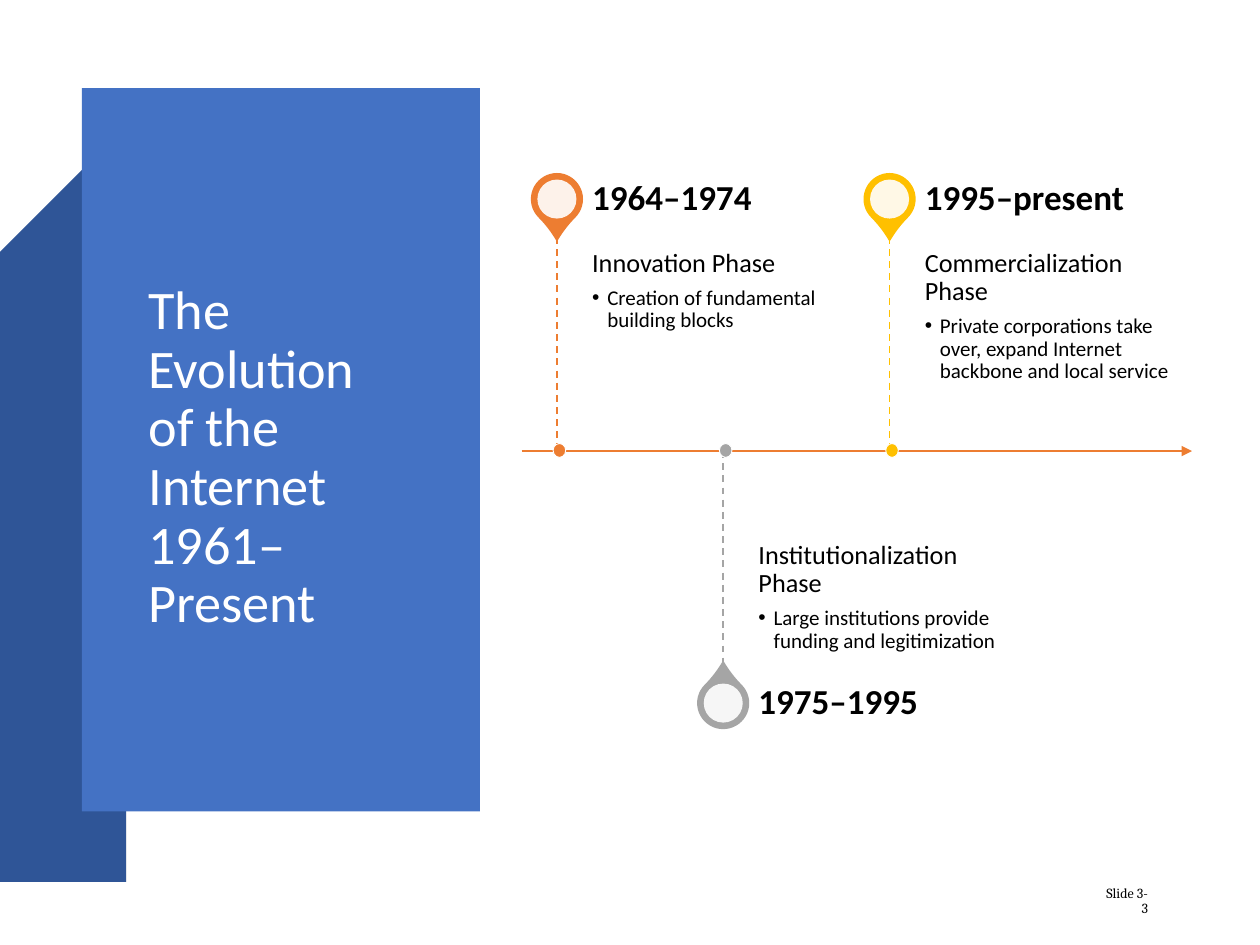
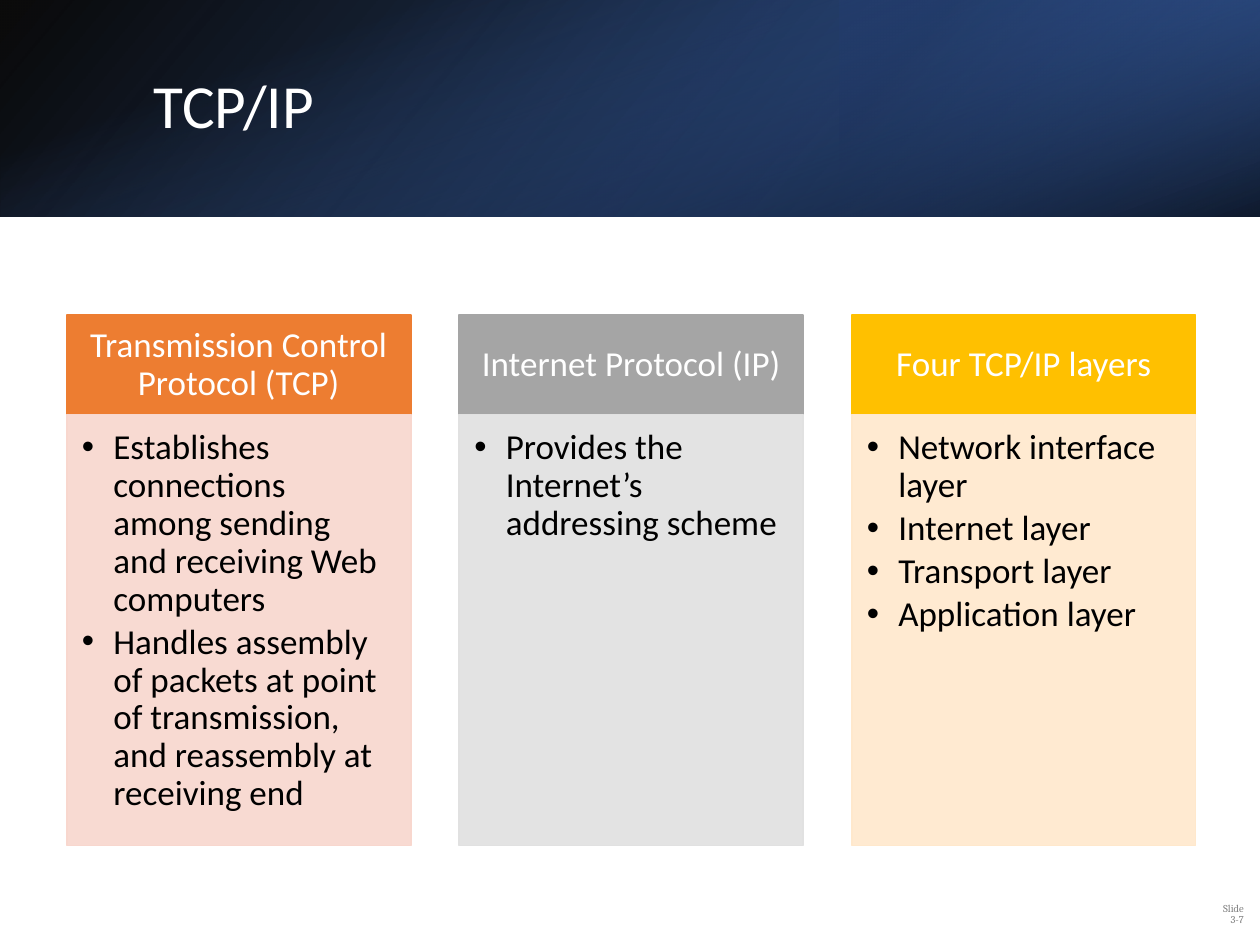
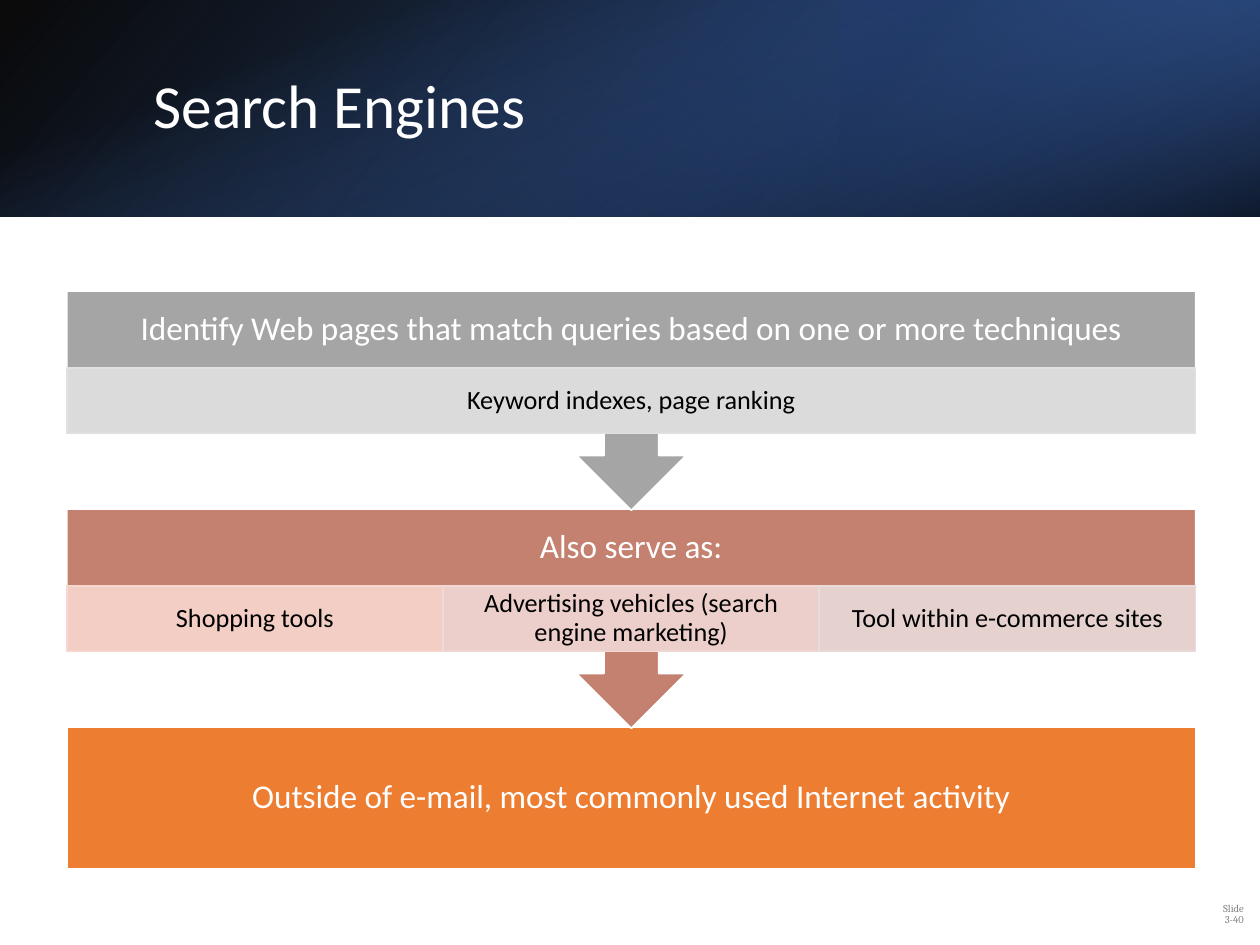
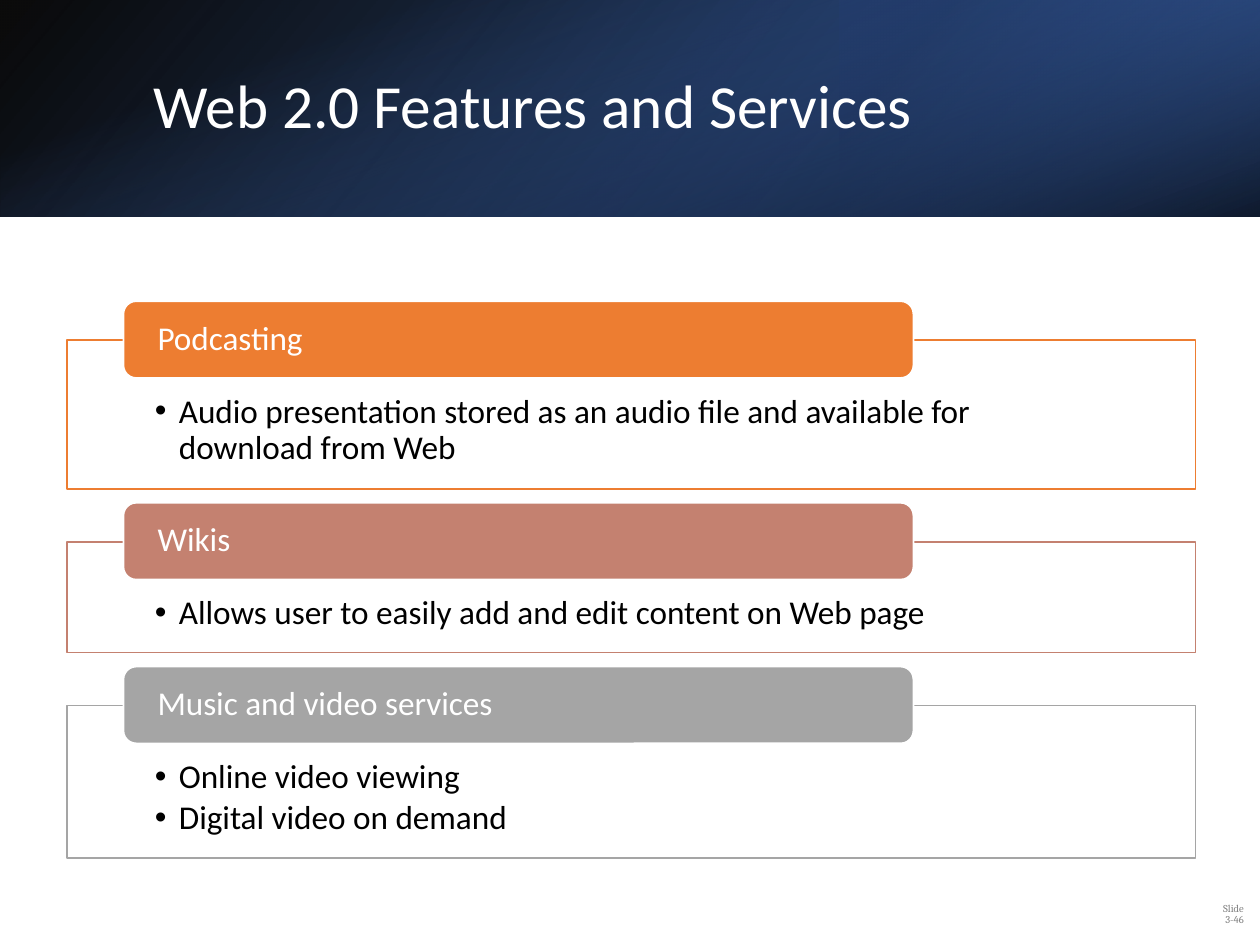
"""Build four slides on the history, protocols and services of the Internet."""
from lxml import etree
from pptx import Presentation
from pptx import util as u
from pptx.dml.color import RGBColor
from pptx.enum import dml, shapes, text
from pptx.oxml.ns import qn

WHITE = RGBColor(0xFF, 0xFF, 0xFF)
BLACK = RGBColor(0x00, 0x00, 0x00)
BLUE = RGBColor(0x44, 0x72, 0xC4)
DARK_BLUE = RGBColor(0x2F, 0x55, 0x97)
NAVY = RGBColor(0x20, 0x38, 0x64)
ORANGE = RGBColor(0xED, 0x7D, 0x31)
GRAY = RGBColor(0xA5, 0xA5, 0xA5)
GOLD = RGBColor(0xFF, 0xC0, 0x00)
CLAY = RGBColor(0xC4, 0x81, 0x70)
FOOTER_GRAY = RGBColor(0x80, 0x80, 0x80)
PALE_ORANGE = RGBColor(0xF8, 0xD7, 0xCE)
PALE_GRAY = RGBColor(0xE1, 0xE1, 0xE1)
PALE_GOLD = RGBColor(0xFF, 0xE8, 0xCC)
PALE_CLAY = RGBColor(0xF1, 0xD8, 0xD4)
PALE_MAUVE = RGBColor(0xE9, 0xDB, 0xDA)

WIDTH, HEIGHT = 10, 7.5
LEFT, SPAN = 0.53, 8.96
BAND = 1.72
KIND = shapes.MSO_SHAPE
MIDDLE, BOTTOM, TOP = text.MSO_ANCHOR.MIDDLE, text.MSO_ANCHOR.BOTTOM, text.MSO_ANCHOR.TOP
CENTER, RIGHT = text.PP_ALIGN.CENTER, text.PP_ALIGN.RIGHT


def place(slide, kind, box, fill, line=None, weight=1, opacity=100, rotation=0):
    shape = slide.shapes.add_shape(kind, *[u.Inches(side) for side in box])
    shape.shadow.inherit = False
    shape.rotation = rotation
    shape.fill.solid()
    shape.fill.fore_color.rgb = fill
    if line is None:
        shape.line.fill.background()
    else:
        shape.line.color.rgb = line
        shape.line.width = u.Pt(weight)
    if opacity < 100:
        tint = shape.element.spPr.find(qn("a:solidFill"))[0]
        etree.SubElement(tint, qn("a:alpha"), val=str(opacity * 1000))
    return shape


def write(slide, target, lead, size, color, bullets=(), bullet_size=None, indent=0.25,
          margins=(0.1, 0.05, 0.1, 0.05), anchor=MIDDLE, align=None, font="Calibri", bold=False):
    if isinstance(target, tuple):
        target = slide.shapes.add_textbox(*[u.Inches(side) for side in target])
    frame = target.text_frame
    frame.word_wrap = True
    frame.vertical_anchor = anchor
    frame.margin_left, frame.margin_top, frame.margin_right, frame.margin_bottom = map(u.Inches, margins)
    entries = ([(lead, False)] if lead else []) + [(bullet, True) for bullet in bullets]
    for order, (words, bulleted) in enumerate(entries):
        paragraph = frame.add_paragraph() if order else frame.paragraphs[0]
        paragraph.text = words
        points = bullet_size or size if bulleted else size
        if bulleted:
            properties = paragraph._p.get_or_add_pPr()
            properties.set("marL", str(u.Inches(indent)))
            properties.set("indent", str(-u.Inches(indent)))
            etree.SubElement(properties, qn("a:buFont"), typeface="Arial")
            etree.SubElement(properties, qn("a:buChar"), char="•")
        paragraph.alignment = align or text.PP_ALIGN.LEFT
        paragraph.line_spacing = 0.9
        paragraph.space_after = u.Pt(points * (0.15 if bulleted else 0.35))
        for run in paragraph.runs:
            run.font.name, run.font.size, run.font.bold = font, u.Pt(points), bold
            run.font.color.rgb = color


deck = Presentation()
deck.slide_width, deck.slide_height = u.Inches(WIDTH), u.Inches(HEIGHT)
evolution, protocols, engines, services = [deck.slides.add_slide(deck.slide_layouts[6]) for _ in range(4)]

ribbon = [
    (DARK_BLUE, [(0.43, 7.24), (0.99, 6.73), (0.99, 1), (0.43, 1.51)]),
    (NAVY, [(0.66, 6.46), (0.99, 6.74), (0.99, 0.99), (0.66, 0.7)]),
]
for color, corners in ribbon:
    outline = evolution.shapes.build_freeform(*corners[0], scale=u.Inches(1))
    outline.add_line_segments(corners[1:], close=True)
    fold = outline.convert_to_shape()
    fold.shadow.inherit = False
    fold.fill.solid()
    fold.fill.fore_color.rgb = color
    fold.line.fill.background()
place(evolution, KIND.RECTANGLE, (0.65, 0.7, 3.16, 5.74), BLUE)
write(evolution, (1.08, 1.67, 2.25, 3.94), "The Evolution of the Internet\v1961–Present", 31, WHITE)
write(evolution, (8.65, 6.98, 0.56, 0.35), "Slide 3-3", 8, BLACK, align=RIGHT, font="Cambria")

AXIS, FIRST_PIN, PIN_STEP = 3.58, 4.42, 1.32
STEM, YEAR_ROW, PHASE_WIDTH = 1.7, 0.6, 2.1
phases = [
    ("1964–1974", "Innovation Phase", "Creation of fundamental building blocks", ORANGE, True),
    ("1975–1995", "Institutionalization Phase", "Large institutions provide funding and legitimization", GRAY, False),
    ("1995–present", "Commercialization Phase",
     "Private corporations take over, expand Internet backbone and local service", GOLD, True),
]
segments = [(4.14, AXIS, 9.46, AXIS, ORANGE, 1.5)]
for column, (*_, color, above) in enumerate(phases):
    pin = FIRST_PIN + column * PIN_STEP
    top = AXIS - STEM if above else AXIS
    segments.append((pin, top, pin, top + STEM, color, 1))
for *ends, color, weight in segments:
    stroke = evolution.shapes.add_connector(shapes.MSO_CONNECTOR.STRAIGHT, *[u.Inches(end) for end in ends])
    stroke.line.color.rgb = color
    stroke.line.width = u.Pt(weight)
    if ends[1] == ends[3]:
        etree.SubElement(stroke.line._get_or_add_ln(), qn("a:tailEnd"), type="triangle")
    else:
        stroke.line.dash_style = dml.MSO_LINE.DASH
    etree.SubElement(stroke.element.spPr, qn("a:effectLst"))

for column, (years, phase, detail, color, above) in enumerate(phases):
    pin = FIRST_PIN + column * PIN_STEP
    words_left = pin + 0.28
    year_top = AXIS - STEM - YEAR_ROW if above else AXIS + STEM
    center = year_top + YEAR_ROW / 2
    drop = place(evolution, KIND.TEAR, (pin - 0.2, center - 0.2, 0.4, 0.4), color, color,
                 rotation=135 if above else 315)
    drop.adjustments[0] = 1.15
    place(evolution, KIND.OVAL, (pin - 0.155, center - 0.155, 0.31, 0.31), WHITE, opacity=90)
    write(evolution, (words_left, AXIS - STEM if above else AXIS, PHASE_WIDTH, STEM), phase, 15, BLACK,
          [detail], 12, 0.12, (0, 0.1, 0.1, 0.16) if above else (0, 0.16, 0, 0.1), TOP if above else BOTTOM)
    write(evolution, (words_left, year_top, PHASE_WIDTH, YEAR_ROW), years, 20, BLACK,
          margins=(0, 0, 0.14, 0), bold=True)
    place(evolution, KIND.OVAL, (pin - 0.03, AXIS - 0.06, 0.1, 0.11), color, WHITE, 0.5)

band_layers = [
    ((0, 0, WIDTH, BAND), 0, True, 140, [(0, BLACK, 96), (1, DARK_BLUE, 100)]),
    ((WIDTH * 2 / 3, 0, WIDTH / 3, BAND), 180, True, 320, [(0.19, NAVY, 68), (1, BLUE, 79)]),
    (((WIDTH - BAND) / 2, (BAND - WIDTH) / 2, BAND, WIDTH), 90, False, 340, [(0.23, BLUE, 0), (0.99, BLACK, 74)]),
]
headings = [
    (protocols, "TCP/IP", "Slide 3-7"),
    (engines, "Search Engines", "Slide 3-40"),
    (services, "Web 2.0 Features and Services", "Slide 3-46"),
]
for slide, title, number in headings:
    for box, rotation, flipped, angle, stops in band_layers:
        layer = place(slide, KIND.RECTANGLE, box, BLUE, rotation=rotation)
        if flipped:
            layer.element.spPr.find(qn("a:xfrm")).set("flipH", "1")
        layer.fill.gradient()
        layer.fill.gradient_angle = 360 - angle
        for stop, (position, color, _) in zip(layer.fill.gradient_stops, stops):
            stop.position = position
            stop.color.rgb = color
        for tint, (*_, opacity) in zip(layer.element.spPr.iter(qn("a:srgbClr")), stops):
            etree.SubElement(tint, qn("a:alpha"), val=str(opacity * 1000))
    write(slide, (1.12, 0.38, 8.24, 0.96), title, 35, WHITE)
    write(slide, (9.6, 7.06, 0.37, 0.4), number, 6, FOOTER_GRAY, align=RIGHT, font="Cambria")

COLUMN, COLUMN_GAP = 2.73, 0.385
columns = [
    ("Transmission Control Protocol (TCP)", ORANGE, PALE_ORANGE,
     ["Establishes connections among sending and receiving Web computers",
      "Handles assembly of packets at point of transmission, and reassembly at receiving end"]),
    ("Internet Protocol (IP)", GRAY, PALE_GRAY, ["Provides the Internet’s addressing scheme"]),
    ("Four TCP/IP layers", GOLD, PALE_GOLD,
     ["Network interface layer", "Internet layer", "Transport layer", "Application layer"]),
]
for order, (heading, color, pale, points) in enumerate(columns):
    left = LEFT + order * (COLUMN + COLUMN_GAP)
    header = place(protocols, KIND.RECTANGLE, (left, 2.5, COLUMN, 0.79), color, color)
    write(protocols, header, heading, 20, WHITE, margins=(0.16, 0.09, 0.16, 0.09), align=CENTER)
    body = place(protocols, KIND.RECTANGLE, (left, 3.29, COLUMN, 3.42), pale, pale, opacity=90)
    write(protocols, body, None, 20, BLACK, points, margins=(0.12, 0.12, 0.16, 0.17), anchor=TOP)

STAGE_TOP, STAGE_STEP, STAGE_HEAD = 2.31, 1.73, 0.61
EVEN = (0.15,) * 4
outcome = place(engines, KIND.RECTANGLE, (LEFT, STAGE_TOP + 2 * STAGE_STEP, SPAN, 1.13), ORANGE, WHITE)
write(engines, outcome, "Outside of e-mail, most commonly used Internet activity", 19, WHITE,
      margins=EVEN, align=CENTER)
stages = [
    (1, "Also serve as:", CLAY,
     [("Shopping tools", PALE_ORANGE), ("Advertising vehicles (search engine marketing)", PALE_CLAY),
      ("Tool within e-commerce sites", PALE_MAUVE)]),
    (0, "Identify Web pages that match queries based on one or more techniques", GRAY,
     [("Keyword indexes, page ranking", PALE_GRAY)]),
]
for row, heading, color, parts in stages:
    top = STAGE_TOP + row * STAGE_STEP
    place(engines, KIND.UP_ARROW_CALLOUT, (LEFT, top, SPAN, 1.74), color, WHITE, rotation=180)
    write(engines, (LEFT, top, SPAN, STAGE_HEAD), heading, 19, WHITE, margins=EVEN, align=CENTER)
    share = SPAN / len(parts)
    for order, (words, pale) in enumerate(parts):
        part = place(engines, KIND.RECTANGLE, (LEFT + order * share, top + STAGE_HEAD, share, 0.52),
                     pale, pale, opacity=90)
        write(engines, part, words, 15, BLACK, margins=(0.12, 0.02, 0.12, 0.02), align=CENTER)

top = 2.7
features = [
    ("Podcasting", ORANGE, 1.18, ["Audio presentation stored as an audio file and available for download from Web"]),
    ("Wikis", CLAY, 0.88, ["Allows user to easily add and edit content on Web page"]),
    ("Music and video services", GRAY, 1.21, ["Online video viewing", "Digital video on demand"]),
]
for feature, color, depth, points in features:
    panel = place(services, KIND.RECTANGLE, (LEFT, top, SPAN, depth), WHITE, color, opacity=90)
    write(services, panel, None, 19, BLACK, points, indent=0.19, margins=(0.7, 0.43, 0.7, 0.15), anchor=TOP)
    place(services, KIND.ROUNDED_RECTANGLE, (0.98, top - 0.31, 6.27, 0.61), color, WHITE)
    write(services, (1.01, top - 0.28, 6.21, 0.55), feature, 19, WHITE, margins=(0.24, 0, 0.24, 0))
    top += depth + 0.42

deck.save("out.pptx")
